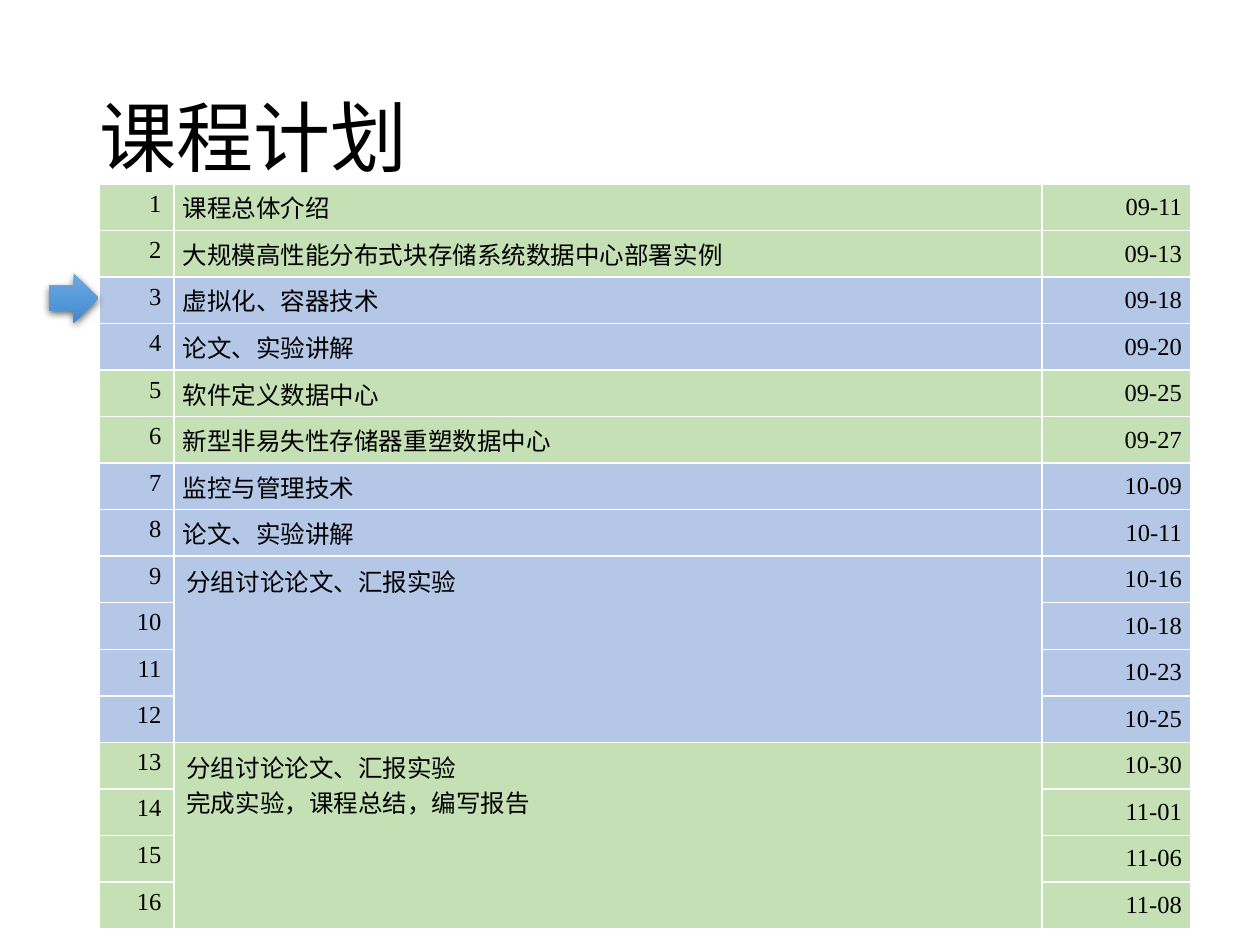
from lxml import etree
from pptx import Presentation
from pptx import util as u
from pptx.dml.color import RGBColor
from pptx.enum import shapes, text
from pptx.oxml import parse_xml
from pptx.oxml.ns import qn

BLACK = RGBColor(0x00, 0x00, 0x00)
GREEN = RGBColor(0xC5, 0xE0, 0xB4)
BLUE = RGBColor(0xB4, 0xC7, 0xE7)
WHITE = RGBColor(0xFF, 0xFF, 0xFF)
ARROW_STOPS = [
    (0, RGBColor(0x71, 0xA6, 0xDB)),
    (50, RGBColor(0x55, 0x9B, 0xDB)),
    (100, RGBColor(0x44, 0x8A, 0xCA)),
]
NS = 'xmlns:a="http://schemas.openxmlformats.org/drawingml/2006/main"'
LATIN, CJK = "Times New Roman", "Noto Sans CJK SC"


def style(p, size, align=text.PP_ALIGN.LEFT, name=LATIN):
    p.alignment = align
    p.font.size = u.Pt(size)
    p.font.color.rgb = BLACK
    p.font.name = name
    props = p._p.pPr.find(qn("a:defRPr"))
    etree.SubElement(props, qn("a:ea")).set("typeface", CJK)


prs = Presentation()
prs.slide_width, prs.slide_height = u.Inches(10), u.Inches(7.5)
s = prs.slides.add_slide(prs.slide_layouts[6])

title = s.shapes.add_textbox(u.Inches(0.69), u.Inches(0.4), u.Inches(8.62), u.Inches(1.45))
tf = title.text_frame
tf.word_wrap = True
tf.vertical_anchor = text.MSO_ANCHOR.MIDDLE
p = tf.paragraphs[0]
p.text = "课程计划"
p.line_spacing = 0.9
style(p, 44)

topics = [
    "课程总体介绍",
    "大规模高性能分布式块存储系统数据中心部署实例",
    "虚拟化、容器技术",
    "论文、实验讲解",
    "软件定义数据中心",
    "新型非易失性存储器重塑数据中心",
    "监控与管理技术",
    "论文、实验讲解",
    "分组讨论论文、汇报实验", "", "", "",
    "分组讨论论文、汇报实验\n完成实验，课程总结，编写报告", "", "", "",
]
dates = [
    "09-11", "09-13", "09-18", "09-20", "09-25", "09-27", "10-09", "10-11",
    "10-16", "10-18", "10-23", "10-25", "10-30", "11-01", "11-06", "11-08",
]
fills = [GREEN] * 2 + [BLUE] * 2 + [GREEN] * 2 + [BLUE] * 6 + [GREEN] * 4
justified = (2, 3, 4)
merged_starts = (8, 12)

frame = s.shapes.add_table(16, 3, u.Inches(0.79), u.Inches(1.46), u.Inches(8.66), u.Inches(5.91))
table = frame.table
table.first_row = table.horz_banding = False
for column, width in zip(table.columns, (0.59, 6.89, 1.18)):
    column.width = u.Inches(width)
for start in merged_starts:
    table.cell(start, 1).merge(table.cell(start + 3, 1))

for i, (topic, date, fill) in enumerate(zip(topics, dates, fills)):
    table.rows[i].height = u.Inches(5.91 / 16)
    for j, value in enumerate((str(i + 1), topic, date)):
        cell = table.cell(i, j)
        if j == 2 or (j == 1 and i < merged_starts[0]):
            cell.vertical_anchor = text.MSO_ANCHOR.MIDDLE
            cell.margin_left = cell.margin_right = u.Inches(0.07)
            cell.margin_top = cell.margin_bottom = 0
        tcPr = cell._tc.get_or_add_tcPr()
        for side in ("lnL", "lnR", "lnT", "lnB"):
            tcPr.append(parse_xml(
                f'<a:{side} {NS} w="{u.Pt(1)}"><a:solidFill><a:srgbClr val="{WHITE}"/>'
                f'</a:solidFill></a:{side}>'))
        cell.fill.solid()
        cell.fill.fore_color.rgb = fill
        if cell.is_spanned:
            continue
        cell.text_frame.text = value
        for p in cell.text_frame.paragraphs:
            if j != 1:
                style(p, 14, text.PP_ALIGN.RIGHT)
            elif i in justified:
                style(p, 14, text.PP_ALIGN.JUSTIFY, CJK)
            else:
                style(p, 14)

sp = s.shapes.add_shape(
    shapes.MSO_SHAPE.RIGHT_ARROW, u.Inches(0.39), u.Inches(2.17), u.Inches(0.39), u.Inches(0.39))
sp.line.fill.background()
sp.shadow.inherit = False
spPr = sp._element.spPr
stops = "".join(
    f'<a:gs pos="{pos * 1000}"><a:srgbClr val="{color}"/></a:gs>' for pos, color in ARROW_STOPS)
spPr.find(qn("a:prstGeom")).addnext(parse_xml(
    f'<a:gradFill {NS}><a:gsLst>{stops}</a:gsLst><a:lin ang="5400000" scaled="0"/></a:gradFill>'))
spPr.find(qn("a:effectLst")).append(parse_xml(
    f'<a:outerShdw {NS} blurRad="{u.Pt(4.5)}" dist="{u.Pt(1.5)}" dir="5400000" rotWithShape="0">'
    f'<a:srgbClr val="{BLACK}"><a:alpha val="63000"/></a:srgbClr></a:outerShdw>'))

prs.save("out.pptx")
